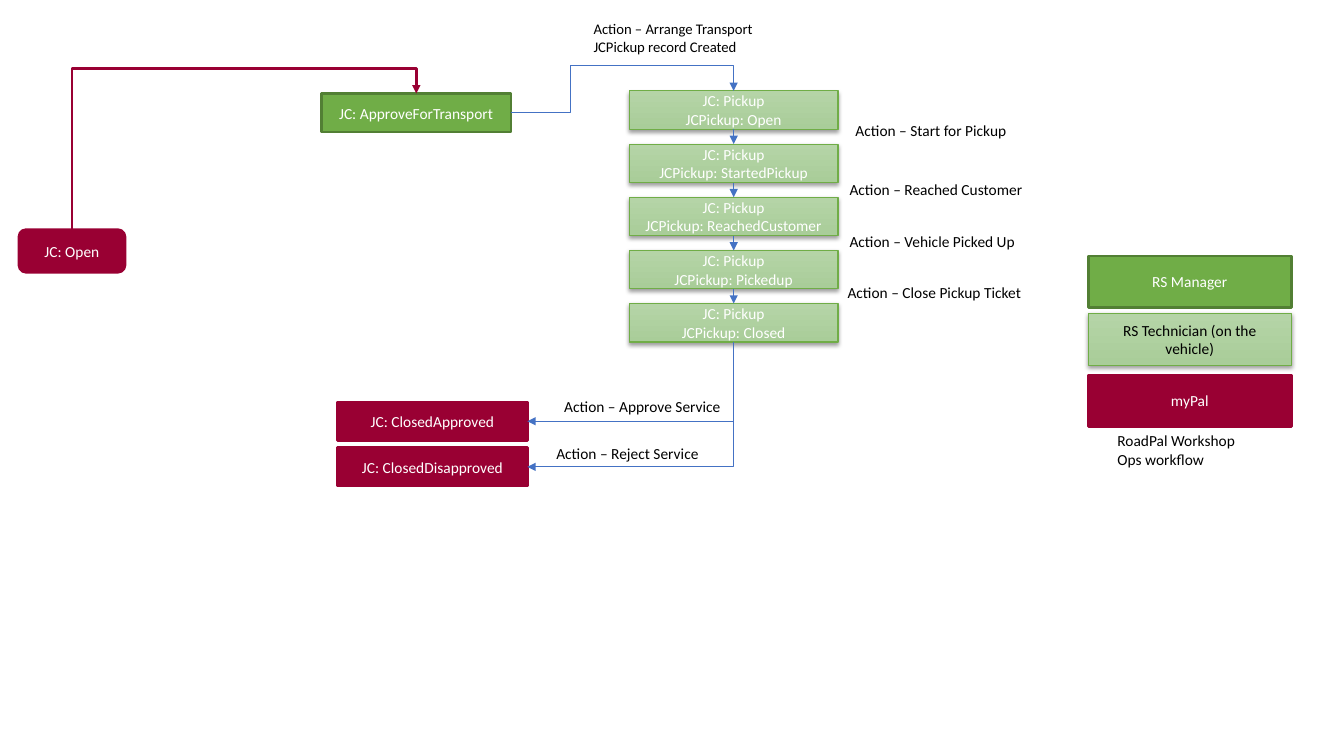
from pptx import Presentation
from pptx.dml.color import RGBColor
from pptx.enum.shapes import MSO_CONNECTOR as LINK, MSO_SHAPE as KIND
from pptx.enum.text import MSO_ANCHOR as ANCHOR, MSO_AUTO_SIZE as AUTO, PP_ALIGN as ALIGN
from pptx.oxml import parse_xml
from pptx.oxml.ns import nsdecls, qn
from pptx.oxml.xmlchemy import OxmlElement as Node
from pptx.util import Cm, Pt

hue = RGBColor.from_string
deck = Presentation()
deck.slide_width, deck.slide_height = Cm(33.87), Cm(19.05)
slide = deck.slides.add_slide(deck.slide_layouts[6])
shapes = slide.shapes

# Each role has a fill (one colour or two), line colour, line width
roles = {
    "manager": (["70AD47"], "527F34", 2),
    "tech": (["B5D4A7", "A9CD99"], "70AD47", 0.75),
    "app": (["990033"], "990033", 2),
}
shade = (f'<a:effectLst {nsdecls("a")}><a:outerShdw blurRad="40000" dist="20000" '
         'dir="5400000" rotWithShape="0"><a:srgbClr val="000000">'
         '<a:alpha val="38000"/></a:srgbClr></a:outerShdw></a:effectLst>')


def write(shape, text, ink, size=11, align=ALIGN.LEFT):
    shape.text_frame.text = text
    for para in shape.text_frame.paragraphs:
        para.alignment = align
        para.font.name, para.font.size = "Calibri", Pt(size)
        para.font.color.rgb = hue(ink)


def box(text, role, x, y, w, h, kind=KIND.RECTANGLE, ink="FFFFFF"):
    shape = shapes.add_shape(kind, Cm(x), Cm(y), Cm(w), Cm(h))
    fills, edge, width = roles[role]
    shape.shadow.inherit = False
    if len(fills) == 1:
        shape.fill.solid()
        shape.fill.fore_color.rgb = hue(fills[0])
    else:
        shape.fill.gradient()
        shape.fill.gradient_angle = 270
        for place, (stop, tone) in enumerate(zip(shape.fill.gradient_stops, fills)):
            stop.position, stop.color.rgb = place, hue(tone)
    shape.line.color.rgb, shape.line.width = hue(edge), Pt(width)
    if role == "tech":
        props = shape._element.spPr
        props.replace(props.find(qn("a:effectLst")), parse_xml(shade))
    shape.text_frame.word_wrap = True
    shape.text_frame.vertical_anchor = ANCHOR.MIDDLE
    write(shape, text, ink, align=ALIGN.CENTER)
    return shape


# Job card states
start = box("JC: Open", "app", 0.48, 5.79, 2.67, 1.07, KIND.ROUNDED_RECTANGLE)
ready = box("JC: ApproveForTransport", "manager", 8.1, 2.36, 4.78, 0.97)
ends = [box(f"JC: {state}", "app", 8.51, 10.13 + 1.15 * row, 4.78, 0.97)
        for row, state in enumerate(["ClosedApproved", "ClosedDisapproved"])]

# Pickup chain
states = ["Open", "StartedPickup", "ReachedCustomer", "Pickedup", "Closed"]
chain = [box(f"JC: Pickup\nJCPickup: {state}", "tech", 15.86, 2.29 + 1.34 * row, 5.26, 0.97)
         for row, state in enumerate(states)]

# Legend
for text, role, y, ink in [("RS Manager", "manager", 6.45, "FFFFFF"),
                           ("RS Technician (on the vehicle)", "tech", 7.9, "000000"),
                           ("myPal", "app", 9.45, "FFFFFF")]:
    box(text, role, 27.43, y, 5.11, 1.3, ink=ink)

# Arrows: from, side, to, side, preset, quarter turn, flips, bends, colour, width
blue, red = "4472C4", "990033"
arrows = [(top, 2, low, 0, "line", False, "", [], blue, 0.75)
          for top, low in zip(chain, chain[1:])]
arrows += [(chain[-1], 2, end, 3, "bentConnector2", True, "", [], blue, 0.75) for end in ends]
arrows += [
    (start, 0, ready, 0, "bentConnector3", True, "HV", [118600], red, 2),
    (ready, 3, chain[0], 0, "bentConnector4", False, "V", [26600, 214200], blue, 0.75),
]
for head, out, tail, into, preset, turn, flips, bends, tone, width in arrows:
    style = LINK.STRAIGHT if preset == "line" else LINK.ELBOW
    link = shapes.add_connector(style, 0, 0, 0, 0)
    link.begin_connect(head, out)
    link.end_connect(tail, into)
    link.line.color.rgb, link.line.width = hue(tone), Pt(width)
    props = link._element.spPr
    props.append(Node("a:effectLst"))
    tip = Node("a:tailEnd")
    tip.set("type", "triangle")
    props.find(qn("a:ln")).append(tip)
    if style == LINK.STRAIGHT:
        continue
    frame, geom = props.find(qn("a:xfrm")), props.find(qn("a:prstGeom"))
    for axis in "HV":
        frame.set(f"flip{axis}", str(int(axis in flips)))
    if turn:
        # Swap the sides around the centre before the quarter turn
        frame.set("rot", "5400000")
        shift = (link.width - link.height) // 2
        link.left, link.top = link.left + shift, link.top - shift
        link.width, link.height = link.height, link.width
    geom.set("prst", preset)
    for num, bend in enumerate(bends, 1):
        guide = Node("a:gd")
        guide.set("name", f"adj{num}" if preset != "bentConnector2" else "adj")
        guide.set("fmla", f"val {bend}")
        geom.find(qn("a:avLst")).append(guide)

# Labels: text, place, size, wrap
labels = [
    ("Action – Arrange Transport\nJCPickup record Created", 14.71, 0.38, 5.38, 1.14, 10.5, False),
    ("Action – Start for Pickup", 21.31, 2.92, 4.45, 1.17, 11, True),
    ("Action – Reached Customer", 21.16, 4.42, 5.46, 1.17, 11, True),
    ("Action – Vehicle Picked Up", 21.16, 5.72, 5.46, 1.17, 11, True),
    ("Action – Close Pickup Ticket", 21.11, 7.01, 5.46, 1.17, 11, True),
    ("Action – Approve Service", 13.97, 9.88, 4.9, 1.17, 11, True),
    ("Action – Reject Service", 13.77, 11.07, 4.9, 1.17, 11, True),
    ("RoadPal Workshop\nOps workflow", 27.91, 10.74, 4.11, 1.17, 11, False),
]
for text, x, y, w, h, size, wrap in labels:
    label = shapes.add_textbox(Cm(x), Cm(y), Cm(w), Cm(h))
    label.text_frame.word_wrap = wrap
    label.text_frame.auto_size = AUTO.SHAPE_TO_FIT_TEXT
    write(label, text, "000000", size)

deck.save("out.pptx")
